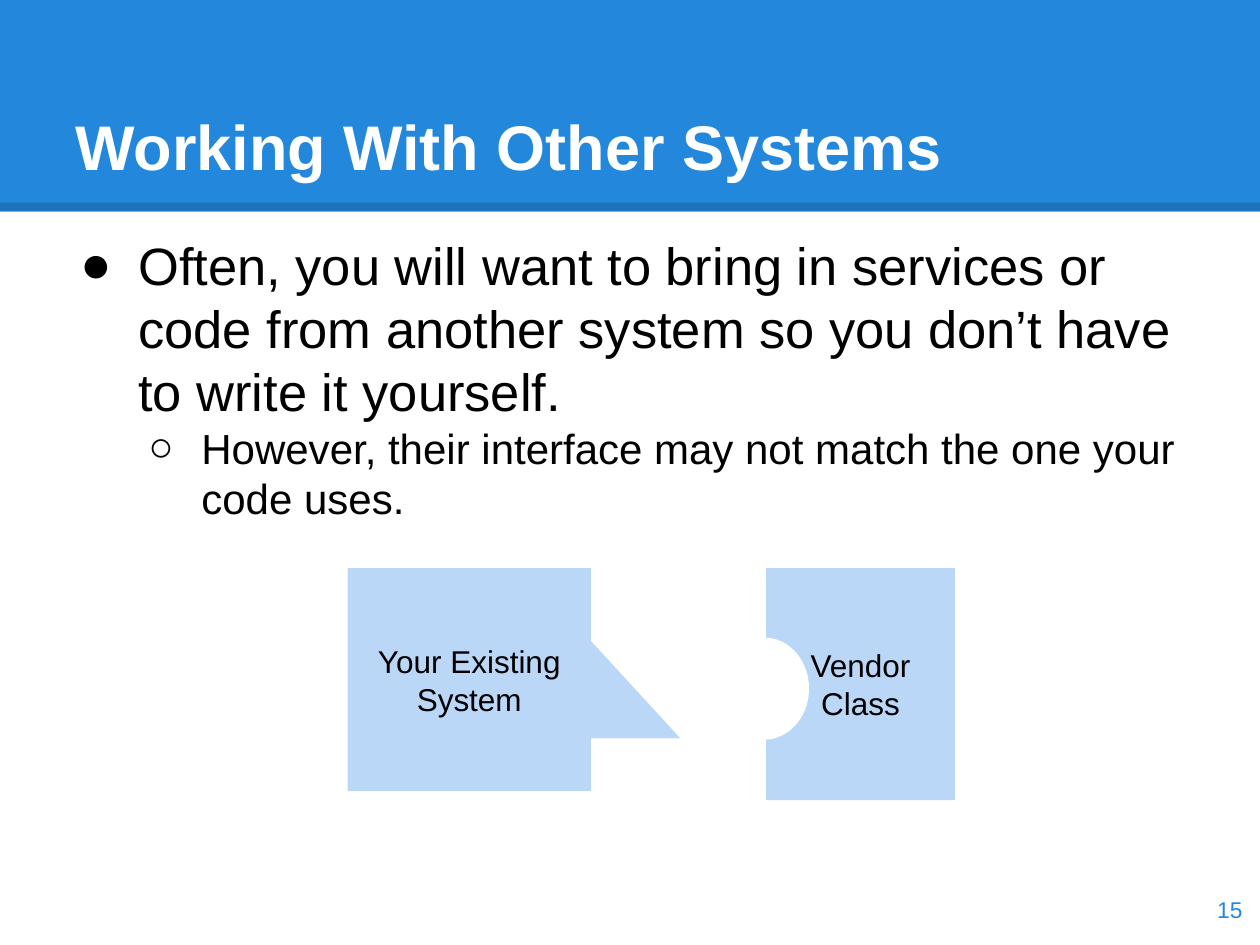
from dataclasses import dataclass

import lxml.etree
import pptx
import pptx.dml.color
import pptx.enum.shapes
import pptx.enum.text
import pptx.oxml.ns
import pptx.util

Inches = pptx.util.Inches
Pt = pptx.util.Pt
qn = pptx.oxml.ns.qn
Shape = pptx.enum.shapes.MSO_SHAPE
Align = pptx.enum.text.PP_ALIGN
Anchor = pptx.enum.text.MSO_ANCHOR

BLUE, PALE, WHITE, BLACK = "2388DB", "BBD7F8", "FFFFFF", "000000"


@dataclass
class Box:
    kind: int
    left: float
    top: float
    width: float
    height: float
    fill: str = PALE
    text: str = ""
    edge: float = 0


@dataclass
class Point:
    text: str
    size: int
    mark: str
    left: float
    hang: float


def color(code: str):
    return pptx.dml.color.RGBColor.from_string(code)


def style(para, size: float, code: str, bold: bool = False) -> None:
    font = para.font
    font.name, font.size, font.bold = "Arial", Pt(size), bold
    font.color.rgb = color(code)


def frame(shape, anchor):
    """Set even margins, wrapping and anchor; return the text frame."""
    text = shape.text_frame
    text.margin_left = text.margin_right = Inches(0.1)
    text.margin_top = text.margin_bottom = Inches(0.1)
    text.word_wrap = True
    text.auto_size = pptx.enum.text.MSO_AUTO_SIZE.NONE
    text.vertical_anchor = anchor
    return text


def place(shape, left: float, top: float, width: float, height: float) -> None:
    shape.left, shape.top = Inches(left), Inches(top)
    shape.width, shape.height = Inches(width), Inches(height)


def draw(slide, box: Box) -> None:
    shape = slide.shapes.add_shape(
        box.kind, Inches(box.left), Inches(box.top),
        Inches(box.width), Inches(box.height))
    shape.shadow.inherit = False
    shape.fill.solid()
    shape.fill.fore_color.rgb = color(box.fill)
    if box.edge:
        shape.line.color.rgb = color(box.fill)
        shape.line.width = Pt(box.edge)
    else:
        shape.line.fill.background()
    if box.text:
        para = frame(shape, Anchor.MIDDLE).paragraphs[0]
        para.text = box.text
        para.alignment = Align.CENTER
        style(para, 18, BLACK)


def rule(slide, top: float) -> None:
    """Draw a faint dark line across the slide."""
    line = slide.shapes.add_connector(
        pptx.enum.shapes.MSO_CONNECTOR.STRAIGHT,
        Inches(0), Inches(top), Inches(10), Inches(top))
    line.line.color.rgb = color(BLACK)
    line.line.width = Pt(4.5)
    props = line._element.spPr
    tint = props.find(".//" + qn("a:srgbClr"))
    lxml.etree.SubElement(tint, qn("a:alpha"), val="15000")
    lxml.etree.SubElement(props, qn("a:effectLst"))


def bullet(para, point: Point) -> None:
    para.text = point.text
    props = para._p.get_or_add_pPr()
    props.set("marL", str(Inches(point.left)))
    props.set("indent", str(-Inches(point.hang)))
    tint = lxml.etree.SubElement(props, qn("a:buClr"))
    lxml.etree.SubElement(tint, qn("a:srgbClr"), val=BLACK)
    lxml.etree.SubElement(props, qn("a:buFont"), typeface="Arial")
    lxml.etree.SubElement(props, qn("a:buChar"), char=point.mark)
    style(para, point.size, BLACK)


POINTS = [
    Point("Often, you will want to bring in services or code from another "
          "system so you don’t have to write it yourself.",
          30, "●", 0.5, 0.46),
    Point("However, their interface may not match the one your code uses.",
          24, "○", 1, 0.42),
]
PARTS = [
    Box(Shape.ISOSCELES_TRIANGLE, 3.71, 4.94, 1.69, 0.92),
    Box(Shape.RECTANGLE, 2.76, 4.51, 1.93, 1.77, text="Your Existing System"),
    Box(Shape.RECTANGLE, 6.08, 4.51, 1.5, 1.84, text="Vendor Class"),
    Box(Shape.OVAL, 5.72, 5.07, 0.69, 0.79, fill=WHITE, edge=1.5),
]


def main() -> None:
    deck = pptx.Presentation()
    deck.slide_width, deck.slide_height = Inches(10), Inches(7.5)
    slide = deck.slides.add_slide(deck.slide_layouts[5])

    draw(slide, Box(Shape.RECTANGLE, 0, 0, 10, 1.68, fill=BLUE))
    rule(slide, 1.64)

    title = slide.shapes.title
    slide.shapes._spTree.append(title._element)  # bring above the band
    place(title, 0.5, 0.3, 9, 1.25)
    para = frame(title, Anchor.BOTTOM).paragraphs[0]
    para.text = "Working With Other Systems"
    para.alignment = Align.LEFT
    style(para, 36, WHITE, bold=True)

    body = slide.shapes.add_textbox(
        Inches(0.5), Inches(1.75), Inches(9), Inches(2.56))
    text = frame(body, Anchor.TOP)
    for i, point in enumerate(POINTS):
        bullet(text.add_paragraph() if i else text.paragraphs[0], point)

    for part in PARTS:
        draw(slide, part)

    page = slide.shapes.add_textbox(
        Inches(9.36), Inches(6.93), Inches(0.6), Inches(0.57))
    para = frame(page, Anchor.MIDDLE).paragraphs[0]
    para.text = "15"
    para.alignment = Align.RIGHT
    style(para, 13, BLUE)

    deck.save("out.pptx")


if __name__ == "__main__":
    main()
